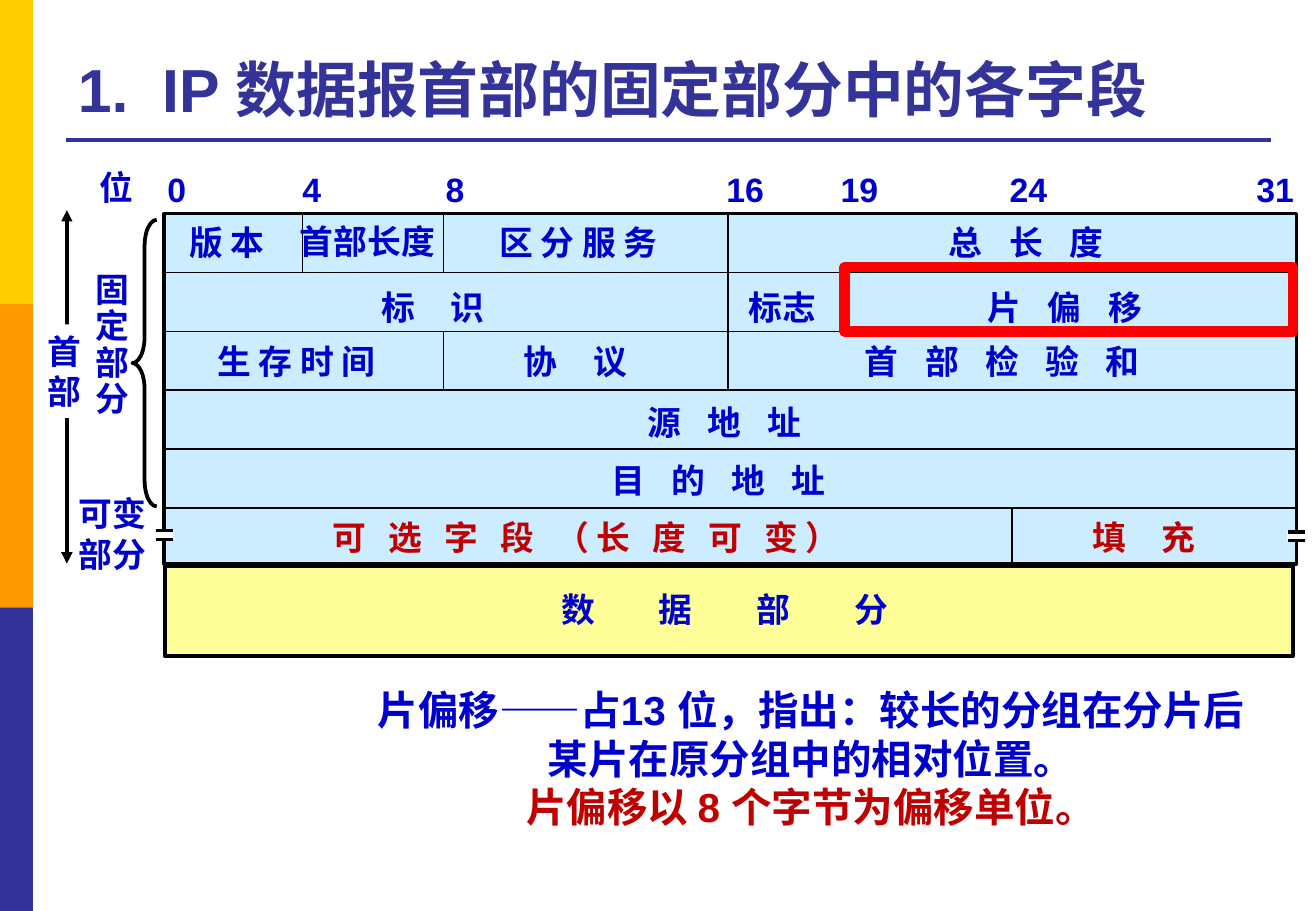
from lxml import etree
from pptx import Presentation
from pptx import util as u
from pptx.dml.color import RGBColor
from pptx.enum import shapes, text
from pptx.oxml.ns import qn

W, H = 10.83, 7.5
TOP, ROW = 1.76, 0.484
BITS = {0: 1.35, 4: 2.49, 8: 3.65, 16: 5.99, 19: 6.94, 24: 8.33, 31: 10.67}
FONT = "Arial"
SPACE = 5.56
COLORS = {
    "yellow": "FFCC00", "orange": "FF9900", "indigo": "333399",
    "blue": "0000CC", "crimson": "C00000", "red": "FF0000",
    "black": "000000", "white": "FFFFFF", "header": "CCECFF", "data": "FFFF99",
}
BIT_LABELS = [("0", 1.28), ("4", 2.39), ("8", 3.57), ("16", 5.88),
              ("19", 6.82), ("24", 8.21), ("31", 10.24)]
DIVIDERS = [(4, 0, 1), (8, 0, 1), (8, 2, 3), (16, 0, 3), (19, 1, 2), (24, 5, 6)]
FIELDS = [
    ("版 本", 0.03, 1.46, 0.84, 0, "blue"),
    ("首部长度", 0.01, 2.37, 1.32, 0, "blue"),
    ("区 分 服 务", 0.03, 4.01, 1.56, 0, "blue"),
    ("总 长 度", 0.03, 7.71, 1.51, SPACE, "blue"),
    ("标 识", 1.14, 3.04, 1.07, 1.5 * SPACE, "blue"),
    ("标志", 1.14, 6.06, 0.76, 0, "blue"),
    ("片 偏 移", 1.14, 8.03, 1.51, SPACE, "blue"),
    ("生 存 时 间", 2.05, 1.69, 1.56, 0, "blue"),
    ("协 议", 2.05, 4.21, 1.07, 1.5 * SPACE, "blue"),
    ("首 部 检 验 和", 2.05, 7.02, 2.54, SPACE, "blue"),
    ("源 地 址", 3.1, 5.23, 1.51, SPACE, "blue"),
    ("目 的 地 址", 4.09, 4.93, 2.02, SPACE, "blue"),
    ("可 选 字 段 （长 度 可 变）", 5.06, 2.64, 4.56, 4.25, "crimson"),
    ("填 充", 5.06, 8.89, 1.07, 1.5 * SPACE, "crimson"),
    ("数 据 部 分", 6.28, 4.52, 3.45, 3 * SPACE, "blue"),
]


def rgb(name):
    return RGBColor.from_string(COLORS[name])


def row_y(n):
    return TOP + n * ROW


def place(sp, x, y, w, h):
    sp.left, sp.top, sp.width, sp.height = (u.Inches(v) for v in (x, y, w, h))


def style(p, size, color):
    p.font.name, p.font.size, p.font.bold = FONT, u.Pt(size), True
    p.font.color.rgb = rgb(color)


def add_box(s, x, y, w, h, fill=None, line=None, weight=1, kind="RECTANGLE"):
    sp = s.shapes.add_shape(getattr(shapes.MSO_SHAPE, kind),
                            *(u.Inches(v) for v in (x, y, w, h)))
    sp.shadow.inherit = False
    if fill:
        sp.fill.solid()
        sp.fill.fore_color.rgb = rgb(fill)
    else:
        sp.fill.background()
    if line:
        sp.line.color.rgb = rgb(line)
        sp.line.width = u.Pt(weight)
    else:
        sp.line.fill.background()
    return sp


def add_line(s, x1, y1, x2, y2, weight=1, color="black", arrows=False):
    c = s.shapes.add_connector(shapes.MSO_CONNECTOR.STRAIGHT,
                               *(u.Inches(v) for v in (x1, y1, x2, y2)))
    c.line.color.rgb = rgb(color)
    c.line.width = u.Pt(weight)
    if arrows:
        ln = c.line._get_or_add_ln()
        for end in ("a:headEnd", "a:tailEnd"):
            etree.SubElement(ln, qn(end), type="triangle")
    etree.SubElement(c._element.spPr, qn("a:effectLst"))


def write(tf, lines, size=20, color="blue", align="LEFT", gap=0, leading=None):
    tf.word_wrap = False
    tf.vertical_anchor = text.MSO_ANCHOR.TOP
    for i, line in enumerate(lines):
        p = tf.add_paragraph() if i else tf.paragraphs[0]
        r = p.add_run()
        r.text = line
        p.alignment = getattr(text.PP_ALIGN, align)
        style(p, size, color)
        if leading:
            p.line_spacing = leading
        if gap:
            r._r.get_or_add_rPr().set("spc", str(round(gap * 100)))
            tf.margin_right = 0


def add_label(s, x, y, w, h, lines, **look):
    tf = s.shapes.add_textbox(*(u.Inches(v) for v in (x, y, w, h))).text_frame
    write(tf, lines, **look)
    return tf


def add_break(s, x, y):
    add_box(s, x, y, 0.16, 0.08, "white")
    for dy in (0.01, 0.08):
        add_line(s, x + 0.01, y + dy, x + 0.15, y + dy, 2)


def add_frame(s):
    for i, color in enumerate(("yellow", "orange", "indigo")):
        add_box(s, 0, i * H / 3, W / 40, H / 3, color)
    add_line(s, W / 20, 1.15, 10.46, 1.15, 2.25, "indigo")
    title = s.shapes.title
    place(title, W / 20, 0.21, 9.91, 0.87)
    title.text_frame.text = "1.  IP 数据报首部的固定部分中的各字段"
    title.text_frame.vertical_anchor = text.MSO_ANCHOR.BOTTOM
    p = title.text_frame.paragraphs[0]
    p.alignment = text.PP_ALIGN.LEFT
    style(p, 36, "indigo")


def add_datagram(s):
    left, right = BITS[0], BITS[31]
    add_box(s, left, TOP, right - left, 6 * ROW - 0.02, "header", "black", 2)
    add_box(s, left + 0.01, row_y(6), 9.28, 0.74, "data", "black", 2.25)
    for n in range(1, 6):
        add_line(s, left, row_y(n), right, row_y(n))
    for bit, first, last in DIVIDERS:
        add_line(s, BITS[bit], row_y(first), BITS[bit], row_y(last))
    for label, x in BIT_LABELS:
        add_label(s, x, 1.34, 0.36 if len(label) == 1 else 0.51, 0.43, [label])
    for label, n, x, w, gap, color in FIELDS:
        add_label(s, x, row_y(n), w, 0.43, [label], gap=gap, color=color)
    add_break(s, 1.27, 4.36)
    add_break(s, 10.59, 4.37)


def add_side_labels(s):
    add_label(s, 0.72, 1.32, 0.48, 0.43, ["位"])
    add_label(s, 0.69, 2.2, 0.48, 1.31, list("固定部分"), leading=0.9)
    add_label(s, 0.55, 4.01, 0.76, 0.77, ["可变", "部分"])
    add_line(s, 0.55, 1.73, 0.55, 4.64, 2.25, arrows=True)
    write(add_box(s, 0.29, 2.67, 0.48, 0.77, "white").text_frame, list("首部"))
    brace = add_box(s, 1.09, 1.81, 0.2, 2.36, None, "black", 2.25, "LEFT_BRACE")
    brace.adjustments[0] = 1.08


def add_explanation(s):
    tf = add_label(s, 2.91, 5.59, 7.53, 1.31, [
        "片偏移——占13 位，指出：较长的分组在分片后",
        "某片在原分组中的相对位置。",
        "片偏移以 8 个字节为偏移单位。",
    ], size=24, align="CENTER")
    style(tf.paragraphs[-1], 24, "crimson")
    add_box(s, BITS[19] + 0.01, 2.2, 3.69, 0.53, None, "red", 6)


def main():
    prs = Presentation()
    prs.slide_width, prs.slide_height = u.Inches(W), u.Inches(H)
    s = prs.slides.add_slide(prs.slide_layouts[5])
    add_frame(s)
    add_datagram(s)
    add_side_labels(s)
    add_explanation(s)
    prs.save("out.pptx")


if __name__ == "__main__":
    main()
